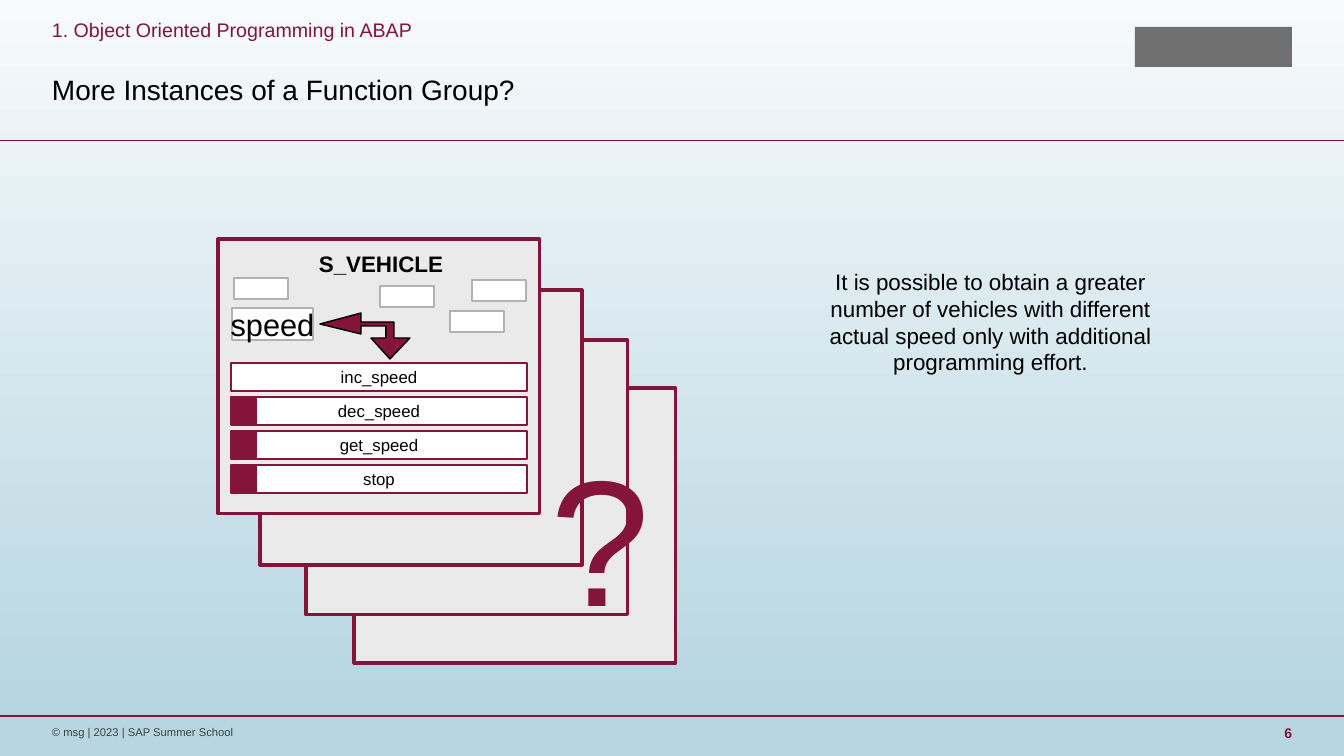
from lxml import etree
from pptx import Presentation
from pptx.dml.color import RGBColor
from pptx.enum.shapes import MSO_CONNECTOR, MSO_SHAPE
from pptx.enum.text import MSO_ANCHOR, PP_ALIGN
from pptx.oxml.ns import qn
from pptx.util import Pt

PX = 914400 / 100.8
WIDTH, HEIGHT = 1344, 756
FONT = "Arial"
WINE = RGBColor(0x84, 0x14, 0x39)
CARD = RGBColor(0xEA, 0xEA, 0xEA)
WHITE = RGBColor(0xFF, 0xFF, 0xFF)
BLACK = RGBColor(0x00, 0x00, 0x00)
SILVER = RGBColor(0xB2, 0xB2, 0xB2)
LOGO_GRAY = RGBColor(0x6F, 0x6F, 0x6F)
FOOTER_GRAY = RGBColor(0x3F, 0x3F, 0x3F)
SKY_TOP = RGBColor(0xF7, 0xFA, 0xFC)
SKY_BOTTOM = RGBColor(0xB7, 0xD6, 0xE1)

CARD_CORNERS = [(354, 388), (306, 340), (260, 290), (218, 239)]
METHODS = ["inc_speed", "dec_speed", "get_speed", "stop"]
DATA_CORNERS = [(234, 278), (472, 280), (450, 311), (380, 286)]
ARROW = [(320, 324), (361, 334), (361, 326), (386, 326), (386, 338), (371, 338),
         (390, 359), (410, 338), (394, 338), (394, 322), (361, 322), (361, 313)]


def px(*lengths):
    return [round(n * PX) for n in lengths]


def paint(sp, fill, line=None, weight=1):
    sp.shadow.inherit = False
    sp.fill.solid()
    sp.fill.fore_color.rgb = fill
    if line is None:
        sp.line.fill.background()
    else:
        sp.line.color.rgb = line
        sp.line.width = Pt(weight)


def write(sp, text, size, color=BLACK, align=PP_ALIGN.LEFT, bold=False,
          anchor=MSO_ANCHOR.TOP, wrap=True):
    tf = sp.text_frame
    tf.word_wrap = wrap
    tf.vertical_anchor = anchor
    p = tf.paragraphs[0]
    p.text = text
    p.alignment = align
    p.font.name = FONT
    p.font.size = Pt(size)
    p.font.bold = bold
    p.font.color.rgb = color
    return p


def add_box(s, x, y, w, h, fill, line=None, weight=1):
    sp = s.shapes.add_shape(MSO_SHAPE.RECTANGLE, *px(x, y, w, h))
    paint(sp, fill, line, weight)
    return sp


def add_labeled_box(s, x, y, w, h, text, size, line):
    sp = add_box(s, x, y, w, h, WHITE, line)
    write(sp, text, size, align=PP_ALIGN.CENTER, anchor=MSO_ANCHOR.MIDDLE, wrap=False)


def add_text(s, x, y, w, h, text, size, **style):
    sp = s.shapes.add_textbox(*px(x, y, w, h))
    return write(sp, text, size, **style)


def add_frame_text(s, x, y, w, h, text, size, **style):
    sp = s.shapes.add_textbox(*px(x, y, w, h))
    tf = sp.text_frame
    tf.margin_left = tf.margin_right = tf.margin_top = tf.margin_bottom = 0
    return write(sp, text, size, anchor=MSO_ANCHOR.MIDDLE, **style)


def add_rule(s, y):
    line = s.shapes.add_connector(MSO_CONNECTOR.STRAIGHT, *px(0, y, WIDTH, y))
    line.line.color.rgb = WINE
    line.line.width = Pt(0.75)
    etree.SubElement(line._element.spPr, qn("a:effectLst"))


def add_arrow(s, points):
    builder = s.shapes.build_freeform(*points[0], scale=PX)
    builder.add_line_segments(points[1:], close=True)
    paint(builder.convert_to_shape(), WINE, BLACK)


def set_background(s):
    fill = s.background.fill
    fill.gradient()
    fill.gradient_angle = 270
    for stop, color, position in zip(fill.gradient_stops, (SKY_TOP, SKY_BOTTOM), (0, 0.93)):
        stop.color.rgb = color
        stop.position = position


def add_frame(s):
    set_background(s)
    for y in (716, 141):
        add_rule(s, y)
    add_box(s, 1135, 27, 157, 40, LOGO_GRAY)
    add_frame_text(s, 52, 15, 1011, 30, "1. Object Oriented Programming in ABAP", 14, color=WINE)
    p = add_frame_text(s, 52, 45, 1011, 93, "More Instances of a Function Group?", 20)
    p.line_spacing = 0.9
    add_frame_text(s, 1229, 725, 63, 15, "6", 10, color=WINE, align=PP_ALIGN.RIGHT, bold=True)
    add_frame_text(s, 52, 725, 1011, 15, "© msg | 2023 | SAP Summer School", 8, color=FOOTER_GRAY)


def add_function_group(s):
    for x, y in CARD_CORNERS:
        add_box(s, x, y, 322, 275, CARD, WINE, 2.25)
    add_text(s, 243, 245, 276, 37, "S_VEHICLE", 16, align=PP_ALIGN.CENTER, bold=True)
    for i, method in enumerate(METHODS):
        y = 363 + 34 * i
        add_labeled_box(s, 231, y, 296, 28, method, 12, WINE)
        if i > 0:
            add_box(s, 231, y, 26, 28, WINE)
    add_labeled_box(s, 232, 308, 81, 32, "speed", 22, SILVER)
    add_arrow(s, ARROW)
    add_text(s, 541, 422, 120, 225, "?", 128, color=WINE, wrap=False)
    for x, y in DATA_CORNERS:
        add_box(s, x, y, 54, 21, WHITE, SILVER)


def main():
    prs = Presentation()
    prs.slide_width, prs.slide_height = px(WIDTH, HEIGHT)
    s = prs.slides.add_slide(prs.slide_layouts[6])
    add_frame(s)
    add_function_group(s)
    add_text(s, 817, 263, 347, 119,
             "It is possible to obtain a greater number of vehicles with different "
             "actual speed only with additional programming effort.",
             16, align=PP_ALIGN.CENTER)
    prs.save("out.pptx")


if __name__ == "__main__":
    main()
